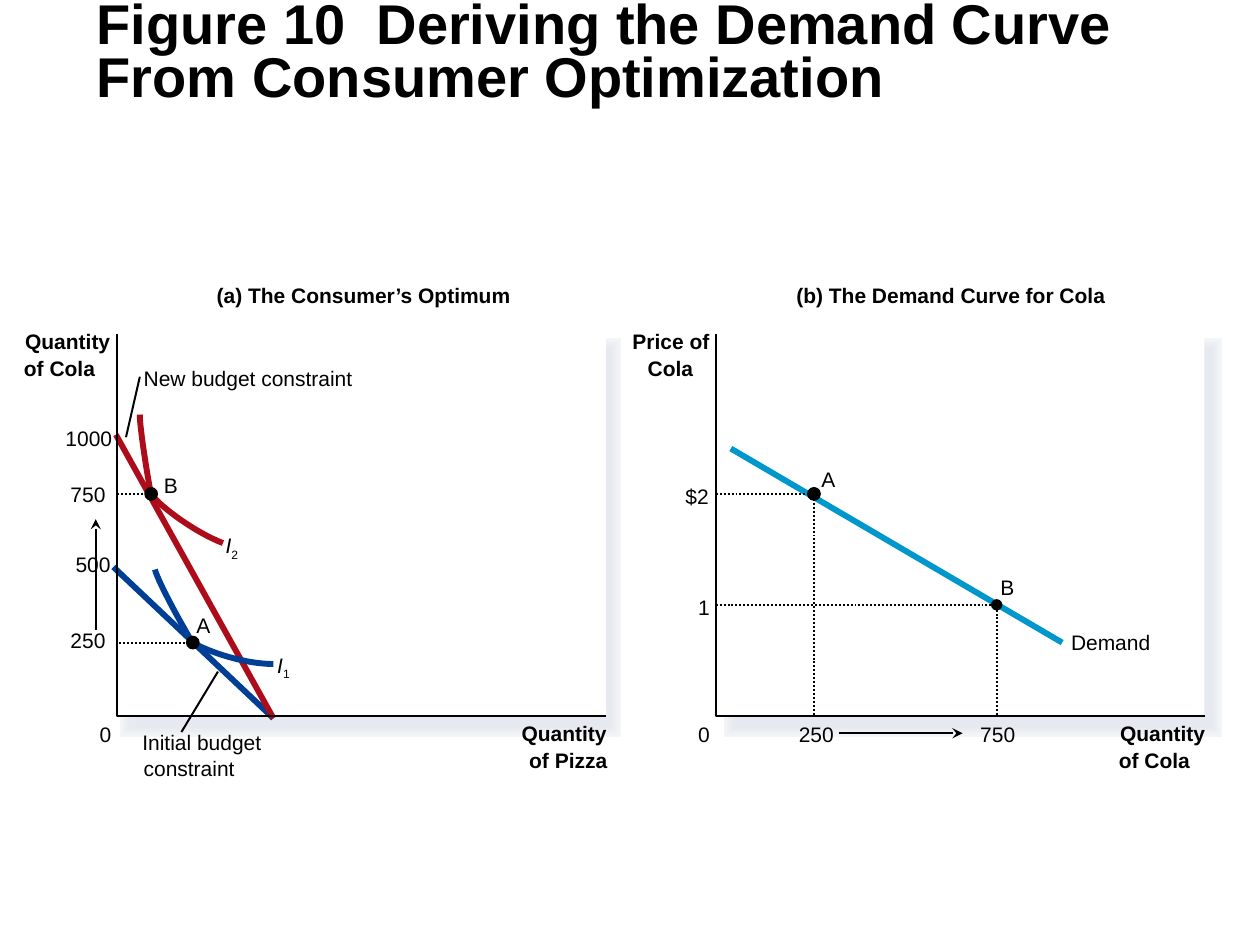
from lxml import etree
from pptx import Presentation
from pptx.dml.color import RGBColor
from pptx.enum.dml import MSO_LINE_DASH_STYLE as DASH
from pptx.enum.shapes import MSO_CONNECTOR, MSO_SHAPE
from pptx.enum.text import MSO_ANCHOR, MSO_AUTO_SIZE
from pptx.oxml.ns import qn
from pptx.util import Inches, Pt

BLACK, RED, NAVY, CYAN = "000000", "AD0D1B", "003F95", "0097CC"
THIN, THICK = 1.13, 3.37
SHADOW_COLORS = ["F3F6F9", "F2F4F8", "F1F4F7", "F0F2F5", "EEF1F4", "EDEFF3",
                 "EBEEF2", "EAECF1", "E9EBF0", "E7EAEF", "E6E9EF"]
AXIS_TOP, AXIS_BOTTOM, AXIS_WIDTH = 2.65, 5.68, 3.88
LEFT_AXIS, RIGHT_AXIS = 0.93, 5.68
LABEL_SLACK = 0.06  # room that keeps each label on one line

# text, left, top, width
BOLD_LABELS = [
    ("(a) The Consumer’s Optimum", 1.72, 2.24, 2.34),
    ("(b) The Demand Curve for Cola", 6.32, 2.24, 2.45),
    ("Quantity", 0.2, 2.61, 0.68), ("of Cola", 0.19, 2.82, 0.57),
    ("Quantity", 4.14, 5.72, 0.68), ("of Pizza", 4.2, 5.93, 0.62),
    ("Price of", 5.02, 2.61, 0.61), ("Cola", 5.14, 2.82, 0.36),
    ("Quantity", 8.89, 5.72, 0.68), ("of Cola", 8.88, 5.93, 0.57),
]
PLAIN_LABELS = [
    ("New budget constraint", 1.14, 2.9, 1.66),
    ("Initial budget", 1.13, 5.79, 0.99), ("constraint", 1.14, 6, 0.72),
    ("1000", 0.52, 3.38, 0.37), ("750", 0.56, 3.82, 0.28),
    ("500", 0.6, 4.38, 0.28), ("250", 0.56, 4.98, 0.28),
    ("0", 0.79, 5.73, 0.09), ("B", 1.3, 3.75, 0.11), ("A", 1.56, 4.86, 0.11),
    ("$2", 5.44, 3.84, 0.19), ("1", 5.54, 4.72, 0.09),
    ("0", 5.54, 5.73, 0.09), ("250", 6.34, 5.73, 0.28),
    ("750", 7.78, 5.73, 0.28), ("A", 6.52, 3.7, 0.11),
    ("B", 7.94, 4.56, 0.11), ("Demand", 8.5, 5, 0.63),
]


def rgb(color):
    return RGBColor.from_string(color)


def style_line(line, color, width, dash=None):
    line.color.rgb = rgb(color)
    line.width = Pt(width)
    if dash:
        line.dash_style = dash


def add_filled(slide, kind, left, top, width, height, color, border=None):
    shape = slide.shapes.add_shape(
        kind, Inches(left), Inches(top), Inches(width), Inches(height))
    shape.shadow.inherit = False
    shape.fill.solid()
    shape.fill.fore_color.rgb = rgb(color)
    if border:
        style_line(shape.line, color, border)
        outline = shape._element.spPr.find(qn("a:ln"))
        etree.SubElement(outline, qn("a:miter"), lim="800000")
    else:
        shape.line.fill.background()


def add_line(slide, start, end, color=BLACK, width=THIN, dash=None, arrow=False):
    line = slide.shapes.add_connector(
        MSO_CONNECTOR.STRAIGHT, *(Inches(v) for v in (*start, *end)))
    style_line(line.line, color, width, dash)
    if arrow:
        outline = line._element.spPr.find(qn("a:ln"))
        etree.SubElement(outline, qn("a:tailEnd"), type="stealth")
    etree.SubElement(line._element.spPr, qn("a:effectLst"))


def add_path(slide, points, color=BLACK, width=THIN, dash=None):
    """Draw an open outline through the points."""
    corners = [(Inches(x), Inches(y)) for x, y in points]
    builder = slide.shapes.build_freeform(*corners[0])
    builder.add_line_segments(corners[1:], close=False)
    outline = builder.convert_to_shape()
    outline.shadow.inherit = False
    outline.fill.background()
    style_line(outline.line, color, width, dash)


def bezier(start, control1, control2, end, steps=16):
    """Return points along a cubic curve."""
    points = []
    for step in range(steps + 1):
        t = step / steps
        weights = ((1 - t) ** 3, 3 * t * (1 - t) ** 2, 3 * t * t * (1 - t), t ** 3)
        points.append(tuple(
            sum(w * v for w, v in zip(weights, values))
            for values in zip(start, control1, control2, end)))
    return points


def style_font(font, size, bold=False):
    font.name, font.size, font.bold = "Arial", Pt(size), bold
    font.color.rgb = rgb(BLACK)


def add_label(slide, text, left, top, width, bold=False):
    box = slide.shapes.add_textbox(
        Inches(left), Inches(top), Inches(width + LABEL_SLACK), Inches(0.2))
    frame = box.text_frame
    frame.margin_left = frame.margin_right = 0
    frame.margin_top = frame.margin_bottom = 0
    frame.word_wrap = False
    frame.auto_size = MSO_AUTO_SIZE.SHAPE_TO_FIT_TEXT
    frame.text = text
    style_font(frame.paragraphs[0].runs[0].font, 12, bold)
    return frame.paragraphs[0]


def add_curve_name(slide, number, left, top):
    """Write an italic I with a subscript number."""
    paragraph = add_label(slide, "I", left, top, 0.1)
    paragraph.runs[0].font.italic = True
    subscript = paragraph.add_run()
    subscript.text = number
    style_font(subscript.font, 12)
    subscript.font._element.set("baseline", "-25000")


def add_point(slide, x, y, size=0.11):
    add_filled(slide, MSO_SHAPE.OVAL, x - size / 2, y - size / 2, size, size, BLACK)


def add_panel_shadow(slide, left, right):
    last = len(SHADOW_COLORS) - 1
    for step, color in enumerate(SHADOW_COLORS):
        start = right - 3.75 if step == last else left
        add_filled(slide, MSO_SHAPE.RECTANGLE, start, 2.77, right - start, 2.99,
                   color, border=12.5 - 1.13 * step)


def add_panel(slide, axis):
    add_filled(slide, MSO_SHAPE.RECTANGLE, axis, AXIS_TOP, AXIS_WIDTH,
               AXIS_BOTTOM - AXIS_TOP, "FFFFFF")


def add_axes(slide, axis):
    add_path(slide, [(axis, AXIS_TOP), (axis, AXIS_BOTTOM),
                     (axis + AXIS_WIDTH, AXIS_BOTTOM)])


def add_title(slide, text):
    box = slide.shapes.add_textbox(Inches(0.67), Inches(0.06), Inches(9), Inches(0.75))
    frame = box.text_frame
    frame.word_wrap = True
    frame.vertical_anchor = MSO_ANCHOR.MIDDLE
    frame.text = text
    paragraph = frame.paragraphs[0]
    paragraph.line_spacing = 0.8
    style_font(paragraph.runs[0].font, 32, bold=True)


def draw_optimum(slide):
    optimum_a, optimum_b = (1.53, 5.1), (1.2, 3.92)
    add_line(slide, (2.17, 5.7), (0.9, 4.5), NAVY, THICK)
    add_line(slide, (0.92, 3.45), (2.17, 5.7), RED, THICK)
    add_line(slide, (0.76, 5), (0.76, 4.12), arrow=True)
    add_path(slide, bezier((1.23, 4.52), (1.26, 4.63), (1.47, 5.01), optimum_a)
             + bezier(optimum_a, (1.67, 5.18), (1.95, 5.27), (2.17, 5.27))[1:],
             NAVY, THICK)
    add_path(slide, bezier((1.11, 3.29), (1.11, 3.4), (1.18, 3.84), optimum_b)
             + bezier(optimum_b, (1.28, 4.03), (1.56, 4.23), (1.77, 4.31))[1:],
             RED, THICK)
    add_curve_name(slide, "1", 2.2, 5.18)
    add_curve_name(slide, "2", 1.79, 4.23)
    add_line(slide, (1.11, 2.99), (1, 3.47))
    add_line(slide, (1.44, 5.81), (1.73, 5.33))
    for x, y in (optimum_b, optimum_a):
        add_line(slide, (x, y), (LEFT_AXIS, y), dash=DASH.ROUND_DOT)
        add_point(slide, x, y)
    add_axes(slide, LEFT_AXIS)


def draw_demand(slide):
    add_axes(slide, RIGHT_AXIS)
    add_line(slide, (6.66, 5.82), (7.64, 5.82), arrow=True)
    add_line(slide, (5.8, 3.56), (8.43, 5.1), CYAN, THICK)
    for x, y, size in ((6.46, 3.92, 0.11), (7.91, 4.8, 0.09)):
        add_path(slide, [(RIGHT_AXIS, y), (x, y), (x, AXIS_BOTTOM)],
                 dash=DASH.ROUND_DOT)
        add_point(slide, x, y, size)


def main():
    prs = Presentation()
    prs.slide_width, prs.slide_height = Inches(10), Inches(7.5)
    slide = prs.slides.add_slide(prs.slide_layouts[6])
    add_title(slide, "Figure 10  Deriving the Demand Curve From Consumer Optimization")
    add_panel_shadow(slide, 1.04, 4.84)
    add_panel_shadow(slide, 5.83, 9.61)
    for axis in (LEFT_AXIS, RIGHT_AXIS):
        add_panel(slide, axis)
    draw_demand(slide)
    draw_optimum(slide)
    for label in BOLD_LABELS:
        add_label(slide, *label, bold=True)
    for label in PLAIN_LABELS:
        add_label(slide, *label)
    prs.save("out.pptx")


if __name__ == "__main__":
    main()
